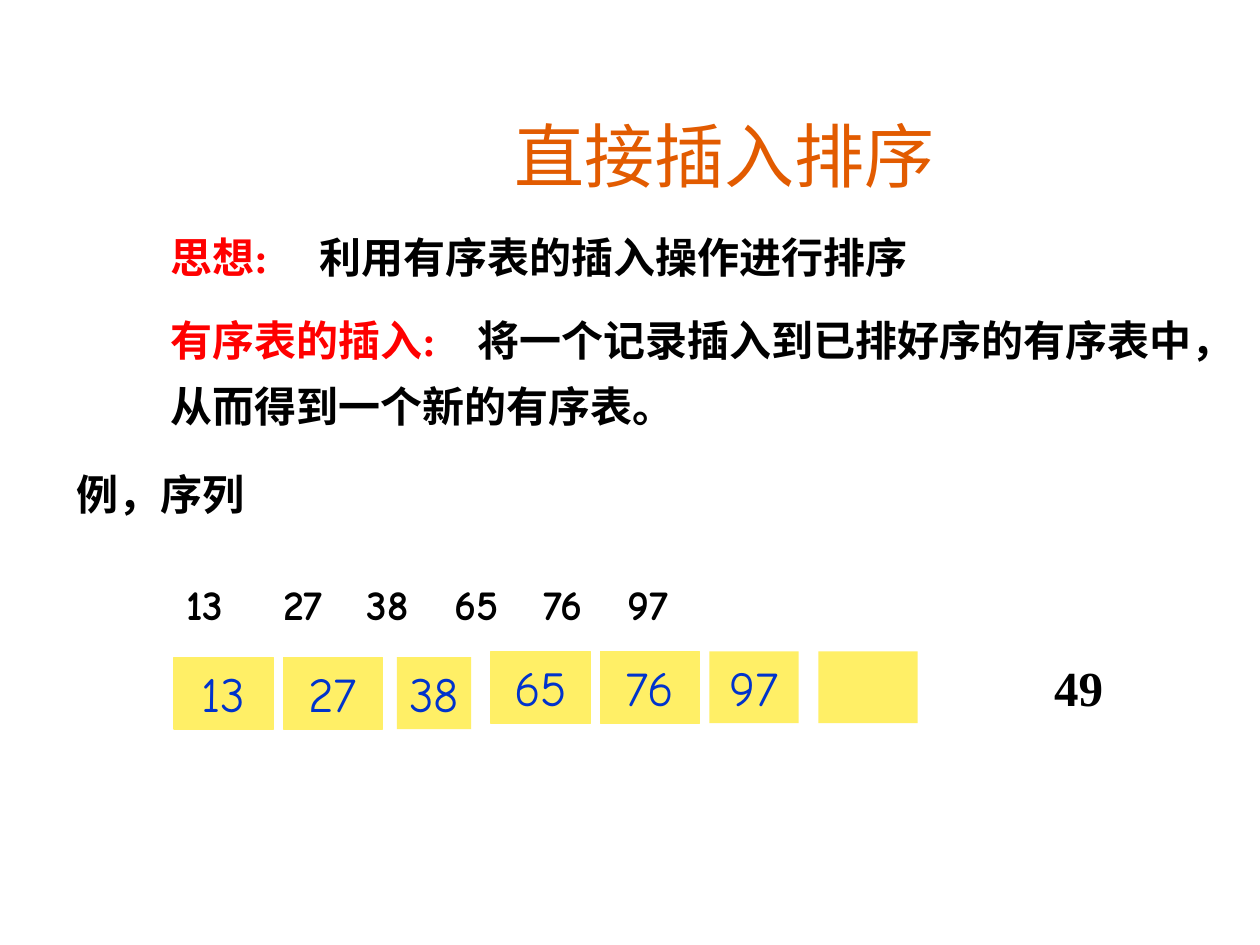
from lxml.etree import SubElement
from pptx import Presentation
from pptx.dml.color import RGBColor
from pptx.enum.shapes import MSO_SHAPE
from pptx.enum.text import MSO_ANCHOR as Anchor, PP_ALIGN as Align
from pptx.oxml.ns import qn
from pptx.util import Cm, Pt

ORANGE = RGBColor(0xE2, 0x5B, 0x00)
RED = RGBColor(0xFF, 0x00, 0x00)
BLACK = RGBColor(0x00, 0x00, 0x00)
BLUE = RGBColor(0x00, 0x33, 0xCC)
YELLOW = RGBColor(0xFF, 0xEF, 0x66)
SERIF, COMIC = "Times New Roman", "Comic Neue"

TITLE = "直接插入排序"
IDEAS = [
    ("思想:", "利用有序表的插入操作进行排序", 4.24, 1.57, 3.02),
    ("有序表的插入:", "将一个记录插入到已排好序的有序表中，从而得到一个新的有序表。", 5.92, 2.9, 6.2),
]
EXAMPLE = "例，序列"
SEQUENCE = ["13", "27", "38", "65", "76", "97"]
SEQUENCE_TABS = [1.95, 3.63, 5.41, 7.19, 8.9]
NEW_RECORD = "49"

LOW, HIGH, CELL_H = 13.25, 13.13, 1.45
CELLS = [
    ("13", 3.51, LOW, 2.0, True),
    ("27", 5.71, LOW, 2.0, True),
    ("38", 8.0, LOW, 1.5, False),
    ("65", 9.9, HIGH, 2.0, True),
    ("76", 12.1, HIGH, 2.0, True),
    ("97", 14.3, HIGH, 1.8, False),
    ("", 16.5, HIGH, 2.0, False),
]


def add_runs(p, runs, size, font, bold=False):
    for text, color in runs:
        r = p.add_run()
        r.text = text
        r.font.size, r.font.name, r.font.bold = Pt(size), font, bold
        r.font.color.rgb = color


def add_text(s, box, runs, size, font, bold=True, before=0, spacing=None, tabs=()):
    tf = s.shapes.add_textbox(*map(Cm, box)).text_frame
    tf.word_wrap = True
    p = tf.paragraphs[0]
    p.space_before = Pt(before)
    if spacing:
        p.line_spacing = spacing
    if tabs:
        tab_list = SubElement(p._p.get_or_add_pPr(), qn("a:tabLst"))
        for pos in tabs:
            SubElement(tab_list, qn("a:tab"), pos=str(Cm(pos)), algn="l")
    add_runs(p, runs, size, font, bold)
    return tf


def add_cell(s, text, left, top, width, outlined):
    sp = s.shapes.add_shape(MSO_SHAPE.RECTANGLE, Cm(left), Cm(top), Cm(width), Cm(CELL_H))
    sp.shadow.inherit = False
    sp.fill.solid()
    sp.fill.fore_color.rgb = YELLOW
    if outlined:
        sp.line.color.rgb = YELLOW
        sp.line.width = Pt(0.75)
    else:
        sp.line.fill.background()
    if text:
        tf = sp.text_frame
        tf.vertical_anchor = Anchor.TOP
        tf.word_wrap = outlined
        p = tf.paragraphs[0]
        p.alignment = Align.CENTER
        p.space_before = Pt(17.5 if outlined else 7)
        add_runs(p, [(text, BLUE)], 28, COMIC)


def main():
    prs = Presentation()
    prs.slide_width, prs.slide_height = Cm(25.4), Cm(19.05)
    s = prs.slides.add_slide(prs.slide_layouts[6])

    tf = add_text(s, (3.81, 0.91, 21.59, 3.18), [(TITLE, ORANGE)], 40, COMIC, bold=False)
    tf.vertical_anchor = Anchor.BOTTOM
    tf.paragraphs[0].alignment = Align.CENTER

    for label, body, top, height, tab in IDEAS:
        add_text(s, (3.18, top, 21.2, height), [(label + "\t", RED), (body, BLACK)],
                 24, SERIF, before=15, spacing=1.3, tabs=[tab])
    add_text(s, (1.3, 9.32, 4.11, 1.27), [(EXAMPLE, BLACK)], 24, SERIF, before=15)
    add_text(s, (3.51, 11.53, 16, 1.27), [("\t".join(SEQUENCE), BLACK)],
             24, COMIC, before=6, tabs=SEQUENCE_TABS)
    for cell in CELLS:
        add_cell(s, *cell)
    add_text(s, (21, HIGH, 1.5, CELL_H), [(NEW_RECORD, BLACK)], 28, SERIF, before=17.5)

    prs.save("out.pptx")


if __name__ == "__main__":
    main()
